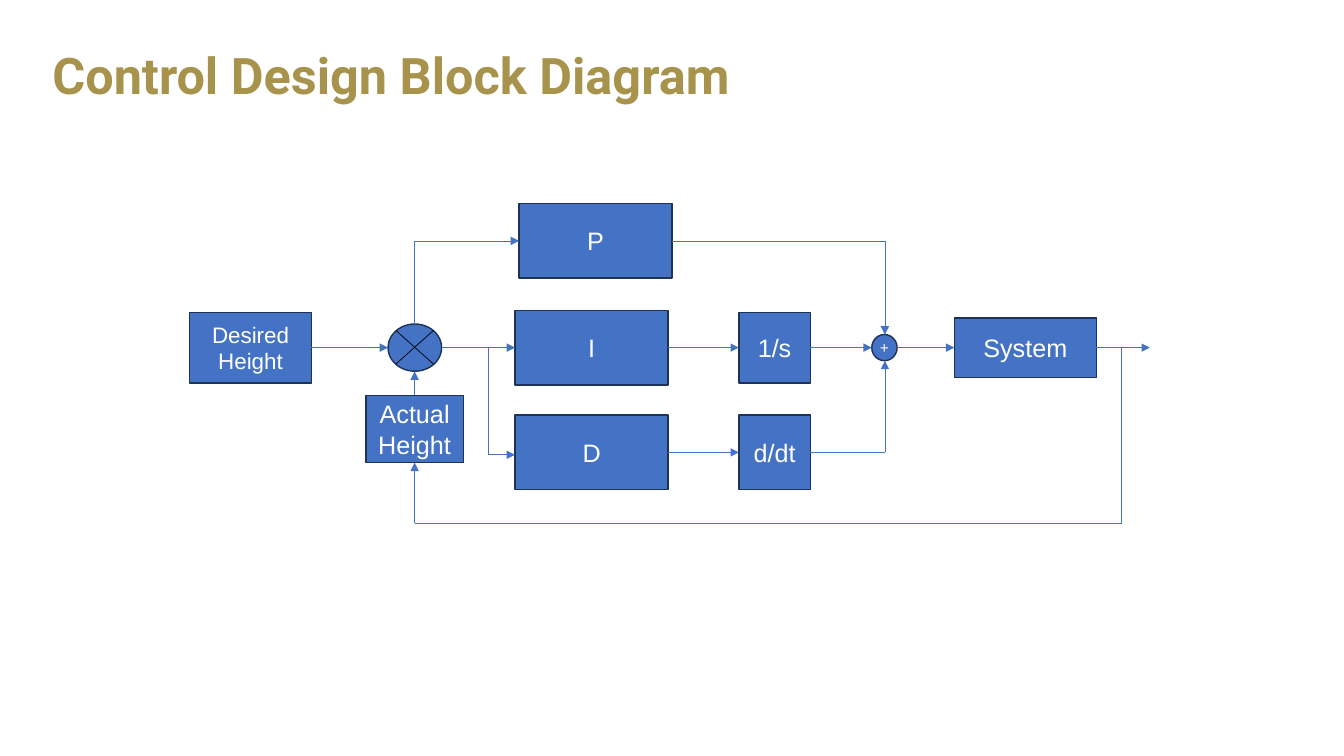
from itertools import pairwise

from lxml import etree
from pptx import Presentation
from pptx.dml.color import RGBColor
from pptx.enum.shapes import MSO_CONNECTOR, MSO_SHAPE
from pptx.enum.text import MSO_ANCHOR, PP_ALIGN
from pptx.oxml.ns import qn
from pptx.util import Cm, Pt

RECT, OVAL = MSO_SHAPE.RECTANGLE, MSO_SHAPE.OVAL
STRAIGHT = MSO_CONNECTOR.STRAIGHT
MIDDLE, CENTER = MSO_ANCHOR.MIDDLE, PP_ALIGN.CENTER
GOLD = RGBColor(0xA7, 0x93, 0x4B)
BLUE = RGBColor(0x44, 0x72, 0xC4)
NAVY = RGBColor(0x1E, 0x32, 0x56)
WHITE = RGBColor(0xFF, 0xFF, 0xFF)
BLACK = RGBColor(0, 0, 0)

# Centre lines of the diagram, in cm
P_ROW, MAIN_ROW, D_ROW, FEEDBACK_ROW = 6.07, 8.76, 11.4, 13.18
ERROR_X, BRANCH_X, ADDER_X, FEEDBACK_X = 10.45, 12.3, 22.3, 28.27


def set_text(sp, text, font, size, color):
    tf = sp.text_frame
    tf.word_wrap = True
    tf.vertical_anchor = MIDDLE
    p = tf.paragraphs[0]
    p.text = text
    p.font.name = font
    p.font.size = Pt(size)
    p.font.color.rgb = color
    return p


def add_path(points, color=BLUE, arrow=True):
    """Join the points with straight lines, the last one ending in an arrowhead."""
    for (x1, y1), (x2, y2) in pairwise(points):
        line = s.shapes.add_connector(STRAIGHT, Cm(x1), Cm(y1), Cm(x2), Cm(y2))
        line.line.color.rgb = color
        line.line.width = Pt(0.5)
        etree.SubElement(line._element.spPr, qn("a:effectLst"))
    if arrow:
        ln = line.line._get_or_add_ln()
        etree.SubElement(ln, qn("a:tailEnd"), type="triangle")


prs = Presentation()
prs.slide_width, prs.slide_height = Cm(33.87), Cm(19.05)
s = prs.slides.add_slide(prs.slide_layouts[6])

title = s.shapes.add_textbox(Cm(1.07), Cm(0.56), Cm(31.75), Cm(2.82))
p = set_text(title, "Control Design Block Diagram", "Roboto", 36, GOLD)
p.font.bold = True
p.line_spacing = 0.9

# Shape, text, text size, left, centre height, width, height
blocks = [
    (RECT, "Desired Height", 16, 4.78, MAIN_ROW, 3.07, 1.78),
    (OVAL, "", 18, 9.78, MAIN_ROW, 1.35, 1.19),
    (RECT, "Actual Height", 18, 9.22, 10.81, 2.46, 1.7),
    (RECT, "P", 18, 13.08, P_ROW, 3.86, 1.88),
    (RECT, "I", 18, 12.98, MAIN_ROW, 3.86, 1.88),
    (RECT, "D", 18, 12.98, D_ROW, 3.86, 1.88),
    (RECT, "1/s", 18, 18.62, MAIN_ROW, 1.8, 1.78),
    (RECT, "d/dt", 18, 18.62, D_ROW, 1.8, 1.88),
    (OVAL, "+", 11, 21.97, MAIN_ROW, 0.64, 0.66),
    (RECT, "System", 18, 24.05, MAIN_ROW, 3.58, 1.5),
]
for kind, text, size, left, mid, width, height in blocks:
    sp = s.shapes.add_shape(kind, Cm(left), Cm(mid - height / 2), Cm(width), Cm(height))
    sp.shadow.inherit = False
    sp.fill.solid()
    sp.fill.fore_color.rgb = BLUE
    sp.line.color.rgb = NAVY
    sp.line.width = Pt(1)
    if text:
        tf = sp.text_frame
        tf.margin_left = tf.margin_right = tf.margin_top = tf.margin_bottom = 0
        set_text(sp, text, "Arial", size, WHITE).alignment = CENTER

# Cross inside the error circle
add_path([(9.98, 9.17), (10.92, 8.33)], BLACK, arrow=False)
add_path([(10.92, 9.17), (9.98, 8.33)], BLACK, arrow=False)

# Arrows along the main row
for start, end in [(7.85, 9.78), (11.13, 12.98), (16.84, 18.62),
                   (20.42, 21.97), (22.61, 24.05), (27.63, 28.98)]:
    add_path([(start, MAIN_ROW), (end, MAIN_ROW)])

# P branch
add_path([(ERROR_X, 8.17), (ERROR_X, P_ROW), (13.08, P_ROW)])
add_path([(16.94, P_ROW), (ADDER_X, P_ROW), (ADDER_X, 8.43)])

# D branch
add_path([(BRANCH_X, MAIN_ROW), (BRANCH_X, 11.46), (12.98, 11.46)])
add_path([(16.84, D_ROW), (18.62, D_ROW)])
add_path([(20.42, D_ROW), (ADDER_X, D_ROW), (ADDER_X, 9.09)])

# Feedback
add_path([(FEEDBACK_X, MAIN_ROW), (FEEDBACK_X, FEEDBACK_ROW),
          (ERROR_X, FEEDBACK_ROW), (ERROR_X, 11.66)])
add_path([(ERROR_X, 9.96), (ERROR_X, 9.36)])

prs.save("out.pptx")
